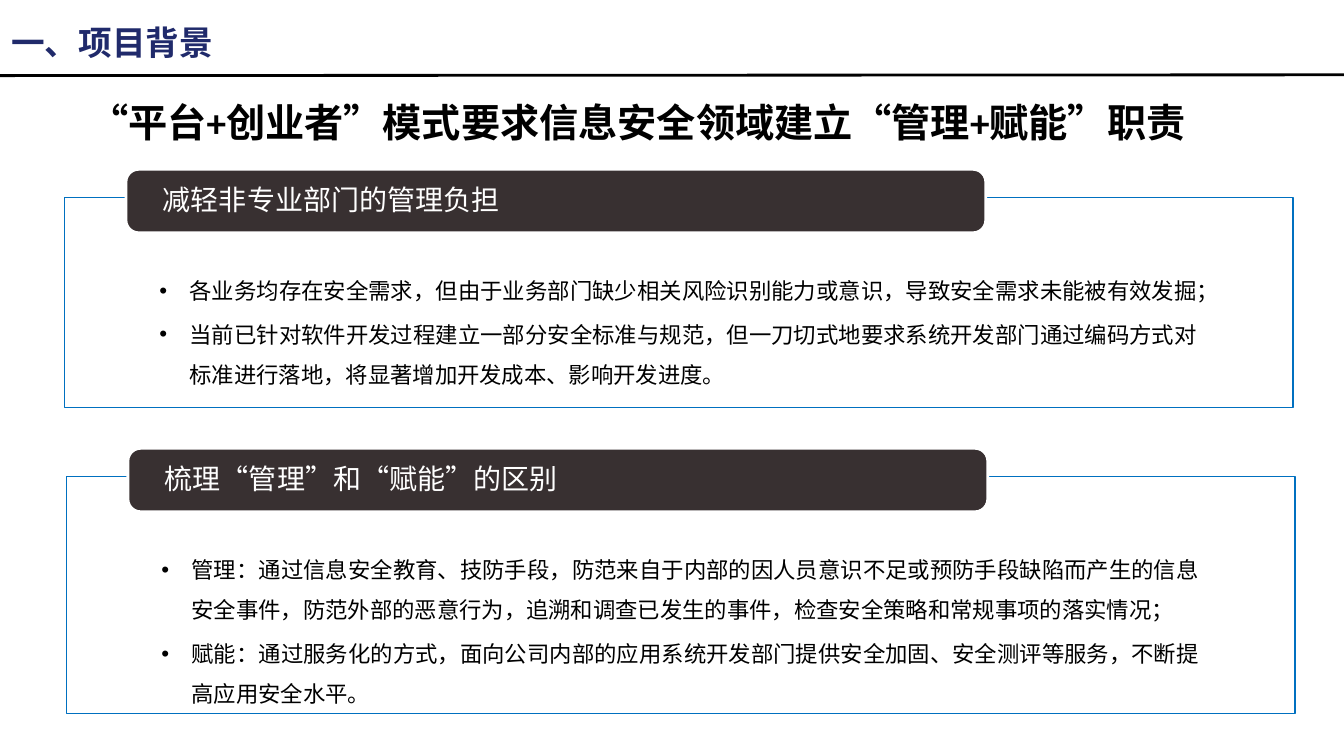
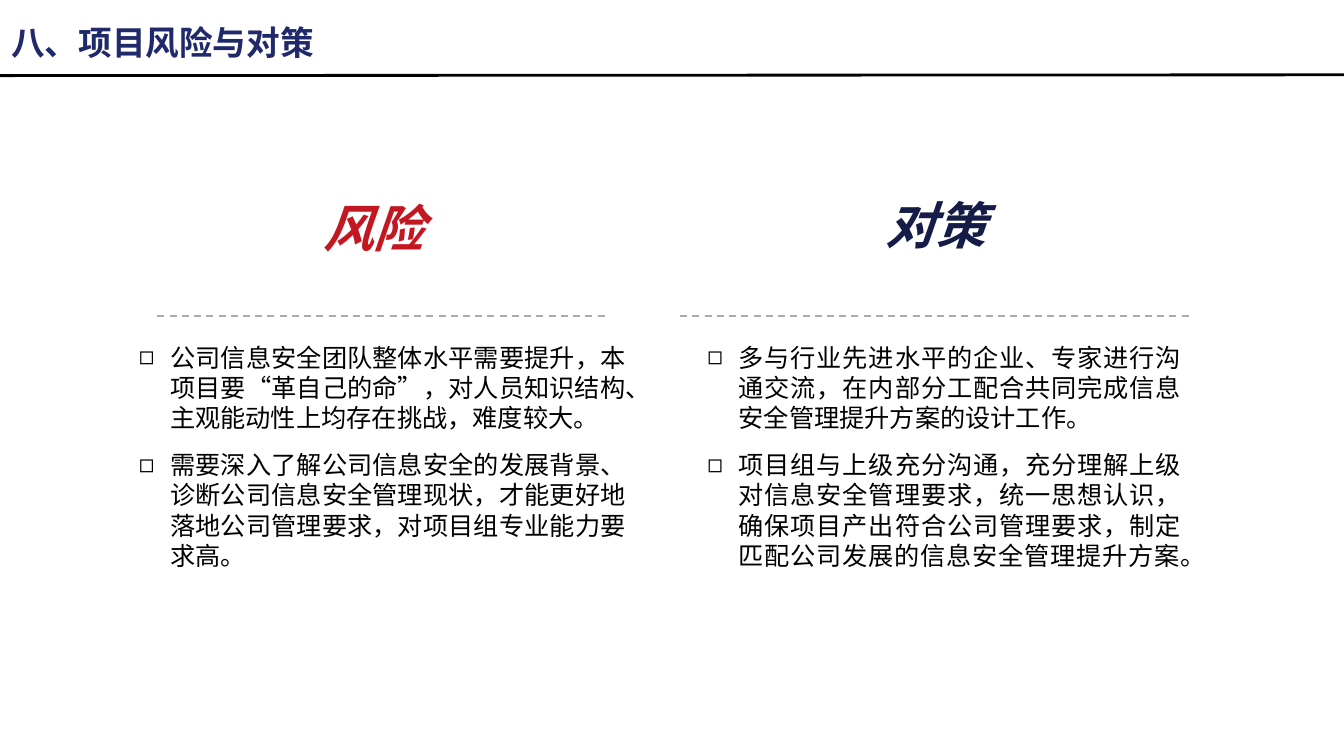
from lxml import etree
from pptx import Presentation
from pptx.dml.color import RGBColor
from pptx.enum.dml import MSO_LINE
from pptx.enum.shapes import MSO_CONNECTOR, MSO_SHAPE
from pptx.enum.text import MSO_ANCHOR, PP_ALIGN
from pptx.oxml.ns import qn
from pptx.util import Inches, Pt

RECT, ROUND = MSO_SHAPE.RECTANGLE, MSO_SHAPE.ROUNDED_RECTANGLE
STRAIGHT, DASH = MSO_CONNECTOR.STRAIGHT, MSO_LINE.DASH
TOP, MIDDLE = MSO_ANCHOR.TOP, MSO_ANCHOR.MIDDLE
LEFT, CENTER, JUSTIFY = PP_ALIGN.LEFT, PP_ALIGN.CENTER, PP_ALIGN.JUSTIFY
NOTO = "Noto Sans CJK SC"
PAGE = (0, 0, 13.33, 7.5)
COLORS = {
    "ink": "000000", "white": "FFFFFF", "title": "202A6B", "frame": "0070C0",
    "tab": "383031", "dash": "ACACAC", "risk": "C31721", "plan": "161C48",
}
STYLES = {
    "title": {"font": {"size": Pt(24), "bold": True}, "color": "title",
              "para": {"line_spacing": 0.9}},
    "lead": {"font": {"size": Pt(28), "bold": True, "name": "Calibri"}},
    "tab": {"font": {"size": Pt(20), "name": "Roboto"}, "color": "white",
            "para": {"line_spacing": 0.9, "space_after": Pt(7)}},
    "points": {"font": {"size": Pt(16)}, "bullet": "•", "indent": 0.3,
               "para": {"alignment": JUSTIFY, "line_spacing": 1.5, "space_after": Pt(2.4)}},
    "head": {"font": {"size": Pt(36), "bold": True, "italic": True},
             "para": {"alignment": CENTER}},
    "notes": {"font": {"size": Pt(18)}, "bullet": "◻", "indent": 0.31,
              "para": {"alignment": JUSTIFY, "space_before": Pt(6), "space_after": Pt(6)}},
}


def part(box, x, y, w, h):
    left, top, width, height = box
    return (left + width * x / 100, top + height * y / 100,
            width * w / 100, height * h / 100)


def paint(color):
    return RGBColor.from_string(COLORS[color])


def add_bullet(para, mark, indent):
    props = para._p.get_or_add_pPr()
    props.set("marL", str(Inches(indent)))
    props.set("indent", str(-Inches(indent)))
    etree.SubElement(props, qn("a:buFont")).set("typeface", "Arial")
    etree.SubElement(props, qn("a:buChar")).set("char", mark)


def write(shape, lines, style, color=None, inset=(0.1, 0.05, 0.1, 0.05), anchor=TOP):
    rule = STYLES[style]
    frame = shape.text_frame
    frame.word_wrap = True
    frame.vertical_anchor = anchor
    for side, gap in zip(("left", "top", "right", "bottom"), inset):
        setattr(frame, f"margin_{side}", Inches(gap))
    for index, line in enumerate(lines):
        para = frame.add_paragraph() if index else frame.paragraphs[0]
        for key, value in {"alignment": LEFT, **rule.get("para", {})}.items():
            setattr(para, key, value)
        if "bullet" in rule:
            add_bullet(para, rule["bullet"], rule["indent"])
        run = para.add_run()
        run.text = line
        for key, value in {"name": NOTO, **rule["font"]}.items():
            setattr(run.font, key, value)
        run.font.color.rgb = paint(color or rule.get("color", "ink"))
        props = run._r.get_or_add_rPr()
        props.set("lang", "zh-CN")
        etree.SubElement(props, qn("a:ea")).set("typeface", NOTO)


def add_text(slide, box, lines, style, **options):
    write(slide.shapes.add_textbox(*map(Inches, box)), lines, style, **options)


def add_block(slide, kind, box, fill, line, width):
    shape = slide.shapes.add_shape(kind, *map(Inches, box))
    shape.shadow.inherit = False
    shape.fill.solid()
    shape.fill.fore_color.rgb = paint(fill)
    shape.line.color.rgb = paint(line)
    shape.line.width = Pt(width)
    return shape


def add_rule(slide, box, color, width, dash=None):
    x, y, w, h = box
    line = slide.shapes.add_connector(STRAIGHT, *map(Inches, (x, y, x + w, y + h)))
    line.line.color.rgb = paint(color)
    line.line.width = Pt(width)
    line.line.dash_style = dash
    etree.SubElement(line._element.spPr, qn("a:effectLst"))


def add_page(deck, title):
    slide = deck.slides.add_slide(deck.slide_layouts[6])
    add_rule(slide, part(PAGE, 0, 10, 100, -0.1), "ink", 2)
    add_text(slide, part(PAGE, 0.1, 2.9, 55.2, 6.1), [title], "title")
    return slide


def add_panel(slide, box, title, points):
    x, y, w, h = box
    tall = PAGE[3] * 0.084
    drop = PAGE[3] * 0.037
    body = add_block(slide, RECT, (x, y + drop, w, h - drop), "white", "frame", 1)
    write(body, points, "points", inset=(0.94, 0.66, 0.94, 0.1))
    tab = add_block(slide, ROUND, (x + w * 0.05, y, w * 0.7, tall), "tab", "white", 2)
    tab.adjustments[0] = 0.2
    write(tab, [title], "tab", inset=(0.33, 0.05, 0.33, 0.05), anchor=MIDDLE)


def add_column(slide, box, title, color, drop, span, notes):
    start, width = span
    add_rule(slide, part(box, start, 33.5, width, 0), "dash", 1.25, DASH)
    add_text(slide, part(box, 28.4, drop, 39.8, 20.7), [title], "head",
             color=color, inset=(0.1,) * 4)
    add_text(slide, part(box, 0, 38.9, 100, 61.1), notes, "notes")


def add_background(deck):
    slide = add_page(deck, "一、项目背景")
    add_panel(slide, part(PAGE, 4.8, 22.4, 91.4, 31.5), "减轻非专业部门的管理负担", [
        "各业务均存在安全需求，但由于业务部门缺少相关风险识别能力或意识，导致安全需求未能被有效发掘；",
        "当前已针对软件开发过程建立一部分安全标准与规范，但一刀切式地要求系统开发部门通过编码方式对标准进行落地，将显著增加开发成本、影响开发进度。",
    ])
    add_panel(slide, part(PAGE, 4.95, 59.3, 91.4, 35.1), "梳理“管理”和“赋能”的区别", [
        "管理：通过信息安全教育、技防手段，防范来自于内部的因人员意识不足或预防手段缺陷而产生的信息安全事件，防范外部的恶意行为，追溯和调查已发生的事件，检查安全策略和常规事项的落实情况；",
        "赋能：通过服务化的方式，面向公司内部的应用系统开发部门提供安全加固、安全测评等服务，不断提高应用安全水平。",
    ])
    add_text(slide, part(PAGE, 5.9, 11.7, 94.1, 8.9),
             ["“平台+创业者”模式要求信息安全领域建立“管理+赋能”职责"],
             "lead", inset=(0.1,) * 4)


def add_risks(deck):
    slide = add_page(deck, "八、项目风险与对策")
    add_column(slide, part(PAGE, 9.6, 24.3, 37.7, 52.1), "风险", "risk", 0.8, (5.6, 88.8), [
        "公司信息安全团队整体水平需要提升，本项目要“革自己的命”，对人员知识结构、主观能动性上均存在挑战，难度较大。",
        "需要深入了解公司信息安全的发展背景、诊断公司信息安全管理现状，才能更好地落地公司管理要求，对项目组专业能力要求高。",
    ])
    add_column(slide, part(PAGE, 51.9, 24.3, 36.7, 52.1), "对策", "plan", 0, (-3.5, 103.5), [
        "多与行业先进水平的企业、专家进行沟通交流，在内部分工配合共同完成信息安全管理提升方案的设计工作。",
        "项目组与上级充分沟通，充分理解上级对信息安全管理要求，统一思想认识，确保项目产出符合公司管理要求，制定匹配公司发展的信息安全管理提升方案。",
    ])


def main():
    deck = Presentation()
    deck.slide_width, deck.slide_height = map(Inches, PAGE[2:])
    add_background(deck)
    add_risks(deck)
    deck.save("out.pptx")


if __name__ == "__main__":
    main()
